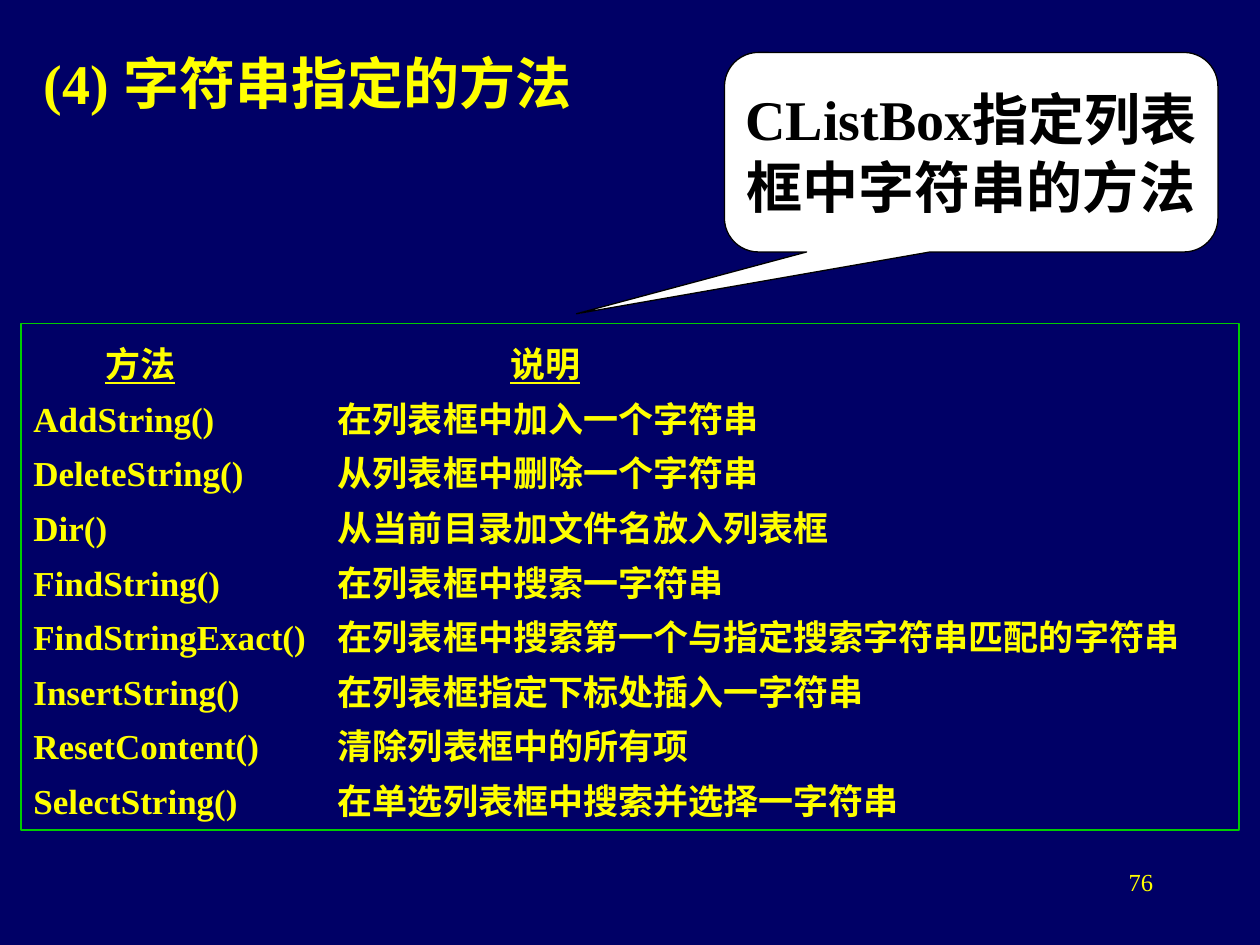
from dataclasses import dataclass

from lxml import etree
from pptx import Presentation
from pptx.dml.color import RGBColor
from pptx.enum import shapes, text
from pptx.oxml import ns
from pptx.util import Pt

NAVY = RGBColor(0x00, 0x00, 0x66)
YELLOW = RGBColor(0xFF, 0xFF, 0x00)
GREEN = RGBColor(0x00, 0xCC, 0x00)
WHITE = RGBColor(0xFF, 0xFF, 0xFF)
BLACK = RGBColor(0x00, 0x00, 0x00)

FACE = "Times New Roman"
LEFT, MID, RIGHT = text.PP_ALIGN.LEFT, text.PP_ALIGN.CENTER, text.PP_ALIGN.RIGHT
HEAD_TABS = (41, 272.5, 594)
ROW_TABS = (174,)


@dataclass
class Line:
    words: str
    tabs: tuple[float, ...] = ()
    under: bool = False


@dataclass
class Box:
    area: tuple[float, float, float, float]
    lines: list[Line]
    size: float
    color: RGBColor = YELLOW
    bold: bool = True
    align: text.PP_ALIGN = LEFT
    space: float | None = None
    fill: RGBColor | None = None
    edge: RGBColor | None = None
    kind: shapes.MSO_SHAPE = shapes.MSO_SHAPE.RECTANGLE
    adjust: tuple[float, ...] = ()
    wrap: bool = True
    anchor: text.MSO_ANCHOR = text.MSO_ANCHOR.TOP


def set_tabs(para, stops: tuple[float, ...]) -> None:
    """Add left tab stops, given in points, to a paragraph."""
    props = para._p.get_or_add_pPr()
    tabs = etree.SubElement(props, ns.qn("a:tabLst"))
    for stop in stops:
        etree.SubElement(tabs, ns.qn("a:tab"), pos=str(int(Pt(stop))), algn="l")


def write(frame, box: Box) -> None:
    frame.word_wrap = box.wrap
    frame.vertical_anchor = box.anchor
    for i, line in enumerate(box.lines):
        para = frame.paragraphs[0] if i == 0 else frame.add_paragraph()
        para.text = line.words
        if line.tabs:
            set_tabs(para, line.tabs)
        para.alignment = box.align
        para.line_spacing = box.space
        font = para.font
        font.name, font.size, font.bold = FACE, Pt(box.size), box.bold
        font.color.rgb = box.color
        font.underline = line.under


def draw(slide, box: Box) -> None:
    area = [Pt(n) for n in box.area]
    if box.fill is None:
        shape = slide.shapes.add_textbox(*area)
    else:
        shape = slide.shapes.add_shape(box.kind, *area)
        shape.shadow.inherit = False
        shape.fill.solid()
        shape.fill.fore_color.rgb = box.fill
        for i, value in enumerate(box.adjust):
            shape.adjustments[i] = value
        if box.edge is None:
            shape.line.fill.background()
        else:
            shape.line.color.rgb = box.edge
            shape.line.width = Pt(0.75)
    write(shape.text_frame, box)


# Method name and what it does
METHODS = [
    ("AddString()", "在列表框中加入一个字符串"),
    ("DeleteString()", "从列表框中删除一个字符串"),
    ("Dir()", "从当前目录加文件名放入列表框"),
    ("FindString()", "在列表框中搜索一字符串"),
    ("FindStringExact()", "在列表框中搜索第一个与指定搜索字符串匹配的字符串"),
    ("InsertString()", "在列表框指定下标处插入一字符串"),
    ("ResetContent()", "清除列表框中的所有项"),
    ("SelectString()", "在单选列表框中搜索并选择一字符串"),
]

HEAD = Line("\t方法\t说明\t", HEAD_TABS, under=True)
ROWS = [Line(f"{name}\t{use}", ROW_TABS) for name, use in METHODS]

BOXES = [
    # Page number
    Box((516, 492, 150, 36), [Line("76")], 14, bold=False, align=RIGHT),
    # Title
    Box((18, 24, 316.8, 45), [Line("(4) 字符串指定的方法")], 32, fill=NAVY),
    # Method list
    Box((12, 185, 696, 289.4), [HEAD, *ROWS], 20, space=1.3,
        fill=NAVY, edge=GREEN),
    # Callout
    Box((414, 30, 282, 114),
        [Line("CListBox指定列表"), Line("框中字符串的方法")], 32,
        color=BLACK, align=MID, fill=WHITE, edge=BLACK,
        kind=shapes.MSO_SHAPE.ROUNDED_RECTANGULAR_CALLOUT,
        adjust=(-0.8, 0.81, 0.17), wrap=False,
        anchor=text.MSO_ANCHOR.MIDDLE),
]


def main() -> None:
    deck = Presentation()
    deck.slide_width, deck.slide_height = Pt(720), Pt(540)
    slide = deck.slides.add_slide(deck.slide_layouts[6])
    back = slide.background.fill
    back.solid()
    back.fore_color.rgb = NAVY
    for box in BOXES:
        draw(slide, box)
    deck.save("out.pptx")


if __name__ == "__main__":
    main()
